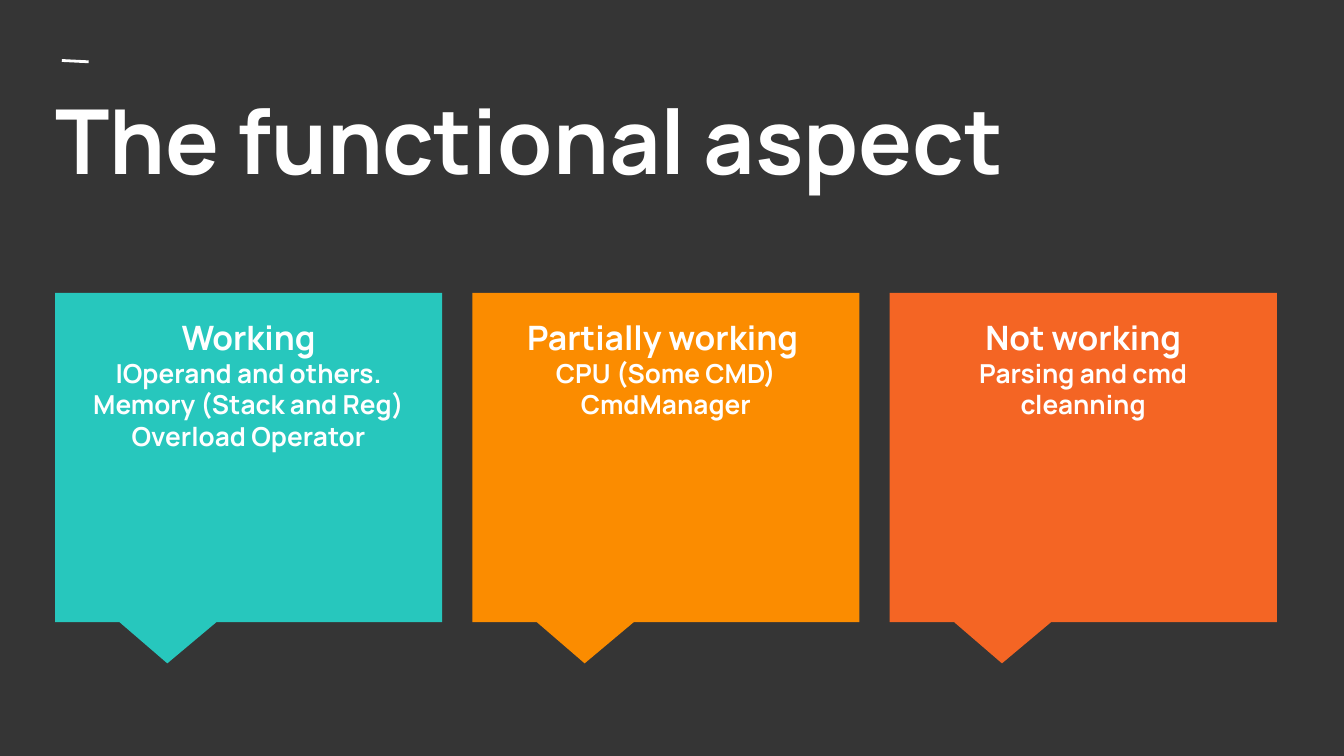
"""Build a status slide with three coloured callouts under a title."""
from lxml import etree
from pptx import Presentation
from pptx import util as u
from pptx.dml.color import RGBColor
from pptx.enum import shapes, text
from pptx.oxml.ns import qn

CHARCOAL = RGBColor(0x35, 0x35, 0x35)
WHITE = RGBColor(0xFF, 0xFF, 0xFF)
TEAL = RGBColor(0x27, 0xC7, 0xBD)
AMBER = RGBColor(0xFB, 0x8C, 0x00)
ORANGE = RGBColor(0xF4, 0x65, 0x24)

SLIDE_WIDTH = 10
SLIDE_HEIGHT = SLIDE_WIDTH * 9 / 16
FIRST_LEFT, LAST_LEFT, TOP = 0.41, 6.62, 2.18
CARD_WIDTH, CARD_HEIGHT = 2.88, 2.45
SIDE_INSET, TOP_INSET = 0.09, 0.08
STATUSES = [
    (TEAL, "Working", ["IOperand and others.", "Memory (Stack and Reg)", "Overload Operator"]),
    (AMBER, "Partially working ", ["CPU (Some CMD)", "CmdManager"]),
    (ORANGE, "Not working", ["Parsing and cmd cleanning"]),
]
PITCH = (LAST_LEFT - FIRST_LEFT) / (len(STATUSES) - 1)


def set_frame(frame):
    frame.word_wrap = True
    frame.auto_size = text.MSO_AUTO_SIZE.NONE
    frame.vertical_anchor = text.MSO_ANCHOR.TOP
    frame.margin_left = frame.margin_right = u.Inches(0.1)
    frame.margin_top = frame.margin_bottom = u.Inches(0.1)


def style(paragraph, size, alignment):
    paragraph.alignment = alignment
    for run in paragraph.runs:
        run.font.name = "Manrope"
        run.font.size = u.Pt(size)
        run.font.bold = True
        run.font.color.rgb = WHITE


deck = Presentation()
deck.slide_width, deck.slide_height = u.Inches(SLIDE_WIDTH), u.Inches(SLIDE_HEIGHT)
slide = deck.slides.add_slide(deck.slide_layouts[5])
slide.background.fill.solid()
slide.background.fill.fore_color.rgb = CHARCOAL

dash_top = u.Inches(SLIDE_HEIGHT * 0.08)
dash = slide.shapes.add_connector(
    shapes.MSO_CONNECTOR.STRAIGHT, u.Inches(0.46), dash_top, u.Inches(0.66), u.Inches(0.46))
dash.line.color.rgb = WHITE
dash.line.width = u.Pt(1.5)
etree.SubElement(dash.element.spPr, qn("a:effectLst"))

heading = slide.shapes.title
heading.left, heading.top = u.Inches(0.31), u.Inches(0.53)
heading.width, heading.height = u.Inches(9.43), u.Inches(1.11)
heading.text_frame.text = "The functional aspect"
set_frame(heading.text_frame)
style(heading.text_frame.paragraphs[0], 48, text.PP_ALIGN.LEFT)

for column, (colour, status, parts) in enumerate(STATUSES):
    left = FIRST_LEFT + column * PITCH
    callout = slide.shapes.add_shape(
        shapes.MSO_SHAPE.RECTANGULAR_CALLOUT,
        u.Inches(left), u.Inches(TOP), u.Inches(CARD_WIDTH), u.Inches(CARD_HEIGHT))
    callout.adjustments[0], callout.adjustments[1] = -0.21, 0.625
    callout.shadow.inherit = False
    callout.fill.solid()
    callout.fill.fore_color.rgb = colour
    callout.line.fill.background()

    summary = slide.shapes.add_textbox(
        u.Inches(left + SIDE_INSET), u.Inches(TOP + TOP_INSET),
        u.Inches(CARD_WIDTH - 2 * SIDE_INSET), u.Inches(2.19)).text_frame
    set_frame(summary)
    summary.text = "\n".join([status, *parts])
    for row, line in enumerate(summary.paragraphs):
        style(line, 14 if row else 18, text.PP_ALIGN.CENTER)

deck.save("out.pptx")
